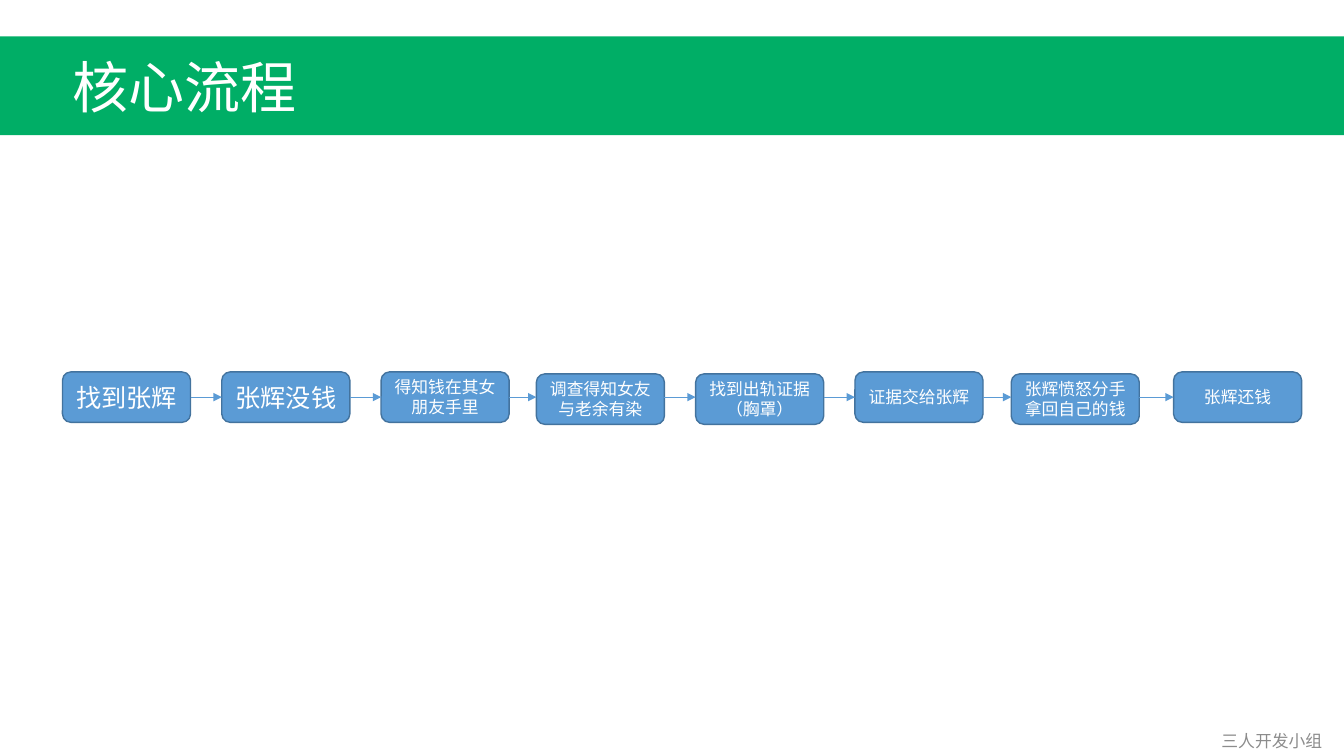
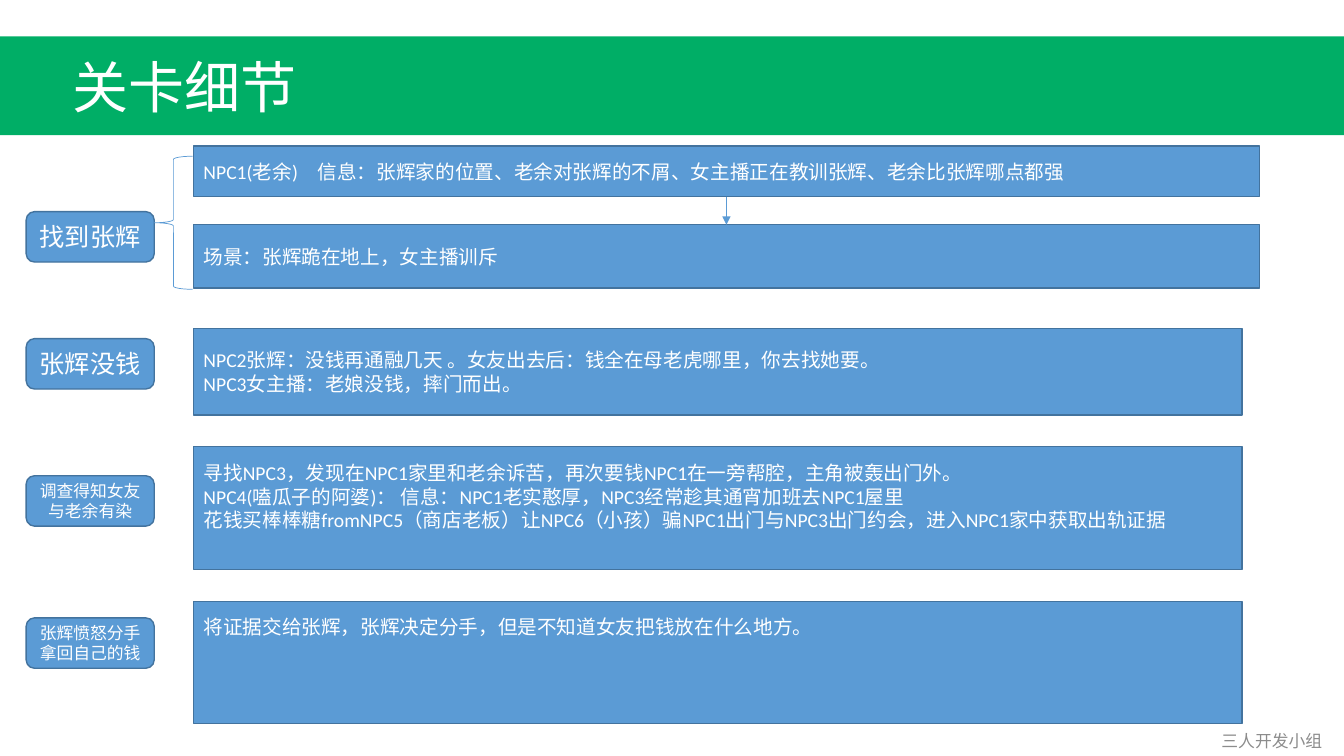
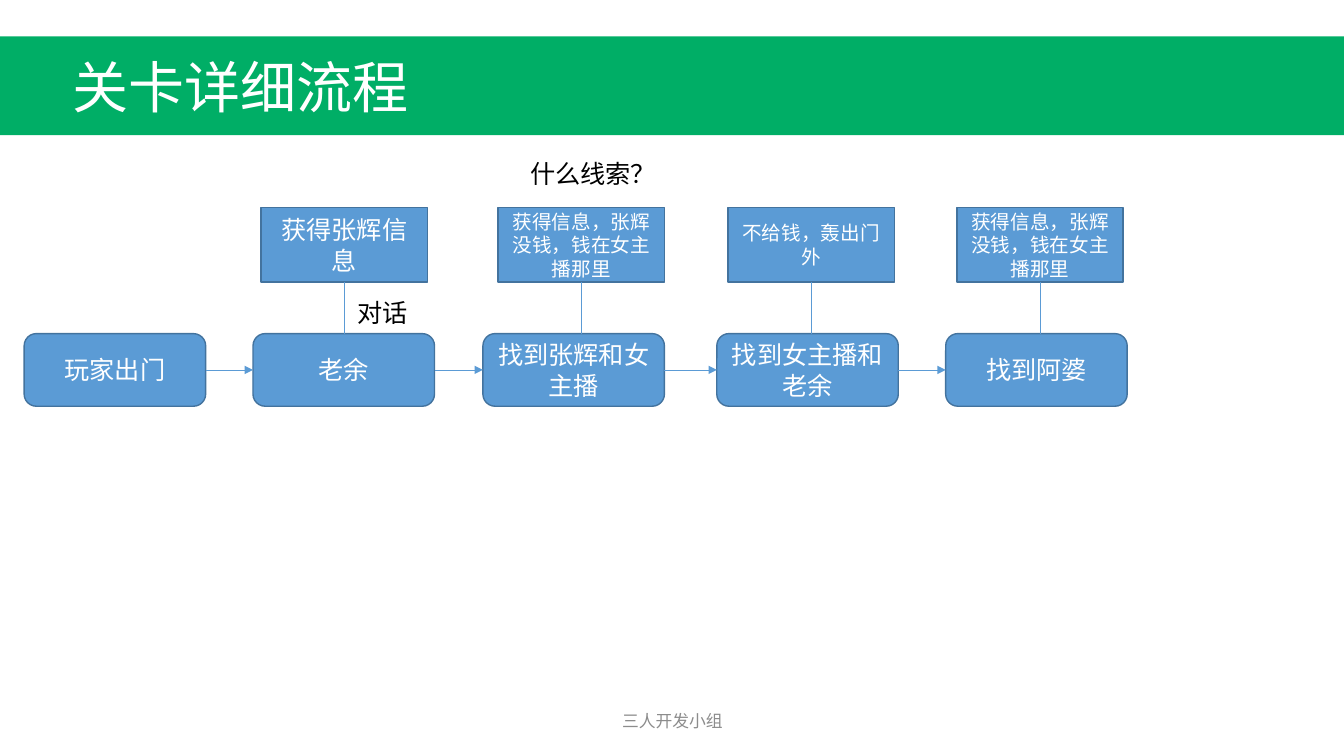
import dataclasses

import lxml.etree
import pptx
import pptx.dml.color
import pptx.enum.shapes
import pptx.enum.text
import pptx.oxml.ns
import pptx.util

Inches = pptx.util.Inches
Pt = pptx.util.Pt
Shape = pptx.enum.shapes.MSO_SHAPE
Align = pptx.enum.text.PP_ALIGN
Anchor = pptx.enum.text.MSO_ANCHOR
qn = pptx.oxml.ns.qn


@dataclasses.dataclass(frozen=True)
class Theme:
    """Colours, font, type sizes and line widths of the deck."""
    band: str = "00AE66"
    fill: str = "5B9BD5"
    edge: str = "43739E"
    light: str = "FFFFFF"
    dark: str = "000000"
    muted: str = "8C8C8C"
    font: str = "Calibri"
    title: int = 40
    large: int = 18
    body: int = 14
    small: int = 12
    edge_width: float = 1
    link_width: float = 0.5


@dataclasses.dataclass(frozen=True)
class Box:
    """A rectangle in inches."""
    left: float
    top: float
    width: float
    height: float

    @property
    def right(self):
        return self.left + self.width

    @property
    def bottom(self):
        return self.top + self.height

    @property
    def center(self):
        return self.left + self.width / 2

    @property
    def middle(self):
        return self.top + self.height / 2

    def lengths(self):
        return [Inches(value) for value in dataclasses.astuple(self)]


THEME = Theme()
PAGE = Box(0, 0, 13.33, 7.5)
BAND = Box(0, 0.36, PAGE.width, 0.98)
CORNER_FOOTER = Box(11.9, 7.21, 1.43, 0.27)
CENTER_FOOTER = Box(4.42, 6.95, 4.5, 0.4)
FOOTER_TEXT = "三人开发小组"
STEP_WIDTH, STEP_HEIGHT = 1.27, 0.5


def rgb(value):
    """Turn a hex string into a colour."""
    return pptx.dml.color.RGBColor.from_string(value)


def write(frame, lines, size, color, align=Align.LEFT, anchor=Anchor.MIDDLE):
    """Fill a text frame with one paragraph per line."""
    frame.word_wrap = True
    frame.vertical_anchor = anchor
    frame.text = "\n".join(lines)
    for para in frame.paragraphs:
        para.alignment = align
        para.font.name = THEME.font
        para.font.size = Pt(size)
        para.font.color.rgb = rgb(color)


def add_text(page, box, text, size, color, align=Align.LEFT, anchor=Anchor.TOP):
    """Place one line of free text and return its frame."""
    frame = page.shapes.add_textbox(*box.lengths()).text_frame
    write(frame, [text], size, color, align, anchor)
    return frame


def add_label(page, box, text):
    """Place a short dark note that grows with its text."""
    frame = add_text(page, box, text, THEME.large, THEME.dark)
    frame.word_wrap = False
    frame.auto_size = pptx.enum.text.MSO_AUTO_SIZE.SHAPE_TO_FIT_TEXT


def add_block(page, box, lines, size, kind=Shape.RECTANGLE, align=Align.CENTER):
    """Draw a blue block with text and return its frame."""
    block = page.shapes.add_shape(kind, *box.lengths())
    block.shadow.inherit = False
    block.fill.solid()
    block.fill.fore_color.rgb = rgb(THEME.fill)
    block.line.color.rgb = rgb(THEME.edge)
    block.line.width = Pt(THEME.edge_width)
    write(block.text_frame, lines, size, THEME.light, align)
    return block.text_frame


def add_step(page, box, text, size):
    """Draw a rounded step."""
    add_block(page, box, [text], size, Shape.ROUNDED_RECTANGLE)


def add_link(page, start, end, arrow=True):
    """Draw a thin line, with an arrowhead at its end if wanted."""
    link = page.shapes.add_connector(
        pptx.enum.shapes.MSO_CONNECTOR.STRAIGHT,
        *[Inches(value) for value in (*start, *end)])
    link.line.color.rgb = rgb(THEME.fill)
    link.line.width = Pt(THEME.link_width)
    properties = link._element.spPr
    lxml.etree.SubElement(properties, qn("a:effectLst"))
    if arrow:
        head = lxml.etree.SubElement(properties.find(qn("a:ln")), qn("a:tailEnd"))
        head.set("type", "triangle")


def add_arrows(page, boxes, middle):
    """Join neighbouring boxes with level arrows."""
    for before, after in zip(boxes, boxes[1:]):
        add_link(page, (before.right, middle), (after.left, middle))


def add_brace(page, box):
    """Draw a left brace."""
    brace = page.shapes.add_shape(Shape.LEFT_BRACE, *box.lengths())
    brace.shadow.inherit = False
    brace.fill.background()
    brace.line.color.rgb = rgb(THEME.fill)
    brace.line.width = Pt(THEME.link_width)


def add_page(deck, title, footer=CORNER_FOOTER):
    """Add a blank page with the title band and the footer."""
    page = deck.slides.add_slide(deck.slide_layouts[6])
    band = page.shapes.add_shape(Shape.RECTANGLE, *BAND.lengths())
    band.shadow.inherit = False
    band.fill.solid()
    band.fill.fore_color.rgb = rgb(THEME.band)
    band.line.fill.background()
    title_box = Box(BAND.left + 0.62, BAND.top + 0.11, 4.7, 0.77)
    add_text(page, title_box, title, THEME.title, THEME.light)
    add_text(page, footer, FOOTER_TEXT, THEME.small, THEME.muted,
             Align.CENTER, Anchor.MIDDLE)
    return page


def draw_core_flow(page, area):
    """Draw the row of eight steps; each has an offset, a drop and a size."""
    steps = [
        (0, 0, THEME.large, "找到张辉"),
        (1.58, 0, THEME.large, "张辉没钱"),
        (3.16, 0, THEME.small, "得知钱在其女朋友手里"),
        (4.7, 0.02, THEME.small, "调查得知女友与老余有染"),
        (6.28, 0.02, THEME.small, "找到出轨证据（胸罩）"),
        (7.86, 0, THEME.small, "证据交给张辉"),
        (9.41, 0.02, THEME.small, "张辉愤怒分手拿回自己的钱"),
        (11.02, 0, THEME.small, "张辉还钱"),
    ]
    boxes = []
    for offset, drop, size, text in steps:
        box = Box(area.left + offset, area.top + drop, STEP_WIDTH, area.height)
        add_step(page, box, text, size)
        boxes.append(box)
    add_arrows(page, boxes, area.middle)


def draw_level_steps(page, area):
    """Draw the column of steps on the left."""
    steps = [
        (0, THEME.large, "找到张辉"),
        (1.26, THEME.large, "张辉没钱"),
        (2.62, THEME.small, "调查得知女友与老余有染"),
        (4.03, THEME.small, "张辉愤怒分手拿回自己的钱"),
    ]
    for offset, size, text in steps:
        box = Box(area.left, area.top + offset, area.width, STEP_HEIGHT)
        add_step(page, box, text, size)


def draw_level_details(page, area):
    """Draw the detail blocks; spare is the free depth under the text."""
    details = [
        (0, 0.5, area.width, 0, [
            "NPC1(老余)\u3000信息：张辉家的位置、老余对张辉的不屑、"
            "女主播正在教训张辉、老余比张辉哪点都强"]),
        (0.78, 0.63, area.width, 0, ["场景：张辉跪在地上，女主播训斥"]),
        (1.81, 0.86, 10.4, 0, [
            "NPC2张辉：没钱再通融几天 。女友出去后：钱全在母老虎哪里，你去找她要。",
            "NPC3女主播：老娘没钱，摔门而出。"]),
        (2.98, 1.22, 10.4, 0.23, [
            "寻找NPC3，发现在NPC1家里和老余诉苦，再次要钱NPC1在一旁帮腔，"
            "主角被轰出门外。",
            "NPC4(嗑瓜子的阿婆)： 信息：NPC1老实憨厚，NPC3经常趁其通宵加班去NPC1屋里",
            "花钱买棒棒糖fromNPC5（商店老板）让NPC6（小孩）骗NPC1出门与NPC3出门约会，"
            "进入NPC1家中获取出轨证据"]),
        (4.52, 1.21, 10.4, 0.71, [
            "将证据交给张辉，张辉决定分手，但是不知道女友把钱放在什么地方。"]),
    ]
    boxes = []
    for offset, height, width, spare, lines in details:
        box = Box(area.left, area.top + offset, width, height)
        frame = add_block(page, box, lines, THEME.body, align=Align.LEFT)
        frame.margin_bottom = Inches(0.05 + spare)
        boxes.append(box)
    clue, scene = boxes[:2]
    add_link(page, (clue.center, clue.bottom), (clue.center, scene.top))
    add_brace(page, Box(area.left - 0.39, area.top + 0.1, 0.38, 1.32))


def draw_level_flow(page, area):
    """Draw the places the player visits and what each one yields."""
    clue = "获得信息，张辉没钱，钱在女主播那里"
    stops = [
        (0, "玩家出门", None),
        (2.27, "老余", (0.08, "获得张辉信息", THEME.large)),
        (4.55, "找到张辉和女主播", (0.15, clue, THEME.body)),
        (6.87, "找到女主播和老余", (0.11, "不给钱，轰出门外", THEME.body)),
        (9.14, "找到阿婆", (0.11, clue, THEME.body)),
    ]
    boxes = []
    for offset, text, result in stops:
        stop = Box(area.left + offset, area.bottom - 0.72, 1.8, 0.72)
        add_step(page, stop, text, THEME.large)
        boxes.append(stop)
        if result:
            indent, outcome, size = result
            note = Box(stop.left + indent, area.top, 1.65, 0.74)
            add_block(page, note, [outcome], size)
            add_link(page, (note.center, note.bottom), (note.center, stop.top),
                     arrow=False)
    add_arrows(page, boxes, boxes[0].middle)
    add_label(page, Box(area.left + 3.21, area.top + 0.84, 0.77, 0.4), "对话")
    add_label(page, Box(area.left + 4.92, area.top - 0.54, 1.21, 0.4), "什么线索？")


def main():
    """Build and save the deck."""
    deck = pptx.Presentation()
    deck.slide_width = Inches(PAGE.width)
    deck.slide_height = Inches(PAGE.height)

    draw_core_flow(add_page(deck, "核心流程"), Box(0.62, 3.69, 12.29, STEP_HEIGHT))

    details = add_page(deck, "关卡细节")
    draw_level_steps(details, Box(0.26, 2.1, STEP_WIDTH, 4.53))
    draw_level_details(details, Box(1.92, 1.45, 10.57, 5.73))

    draw_level_flow(add_page(deck, "关卡详细流程", CENTER_FOOTER),
                    Box(0.24, 2.06, 10.94, 1.97))
    deck.save("out.pptx")


main()
